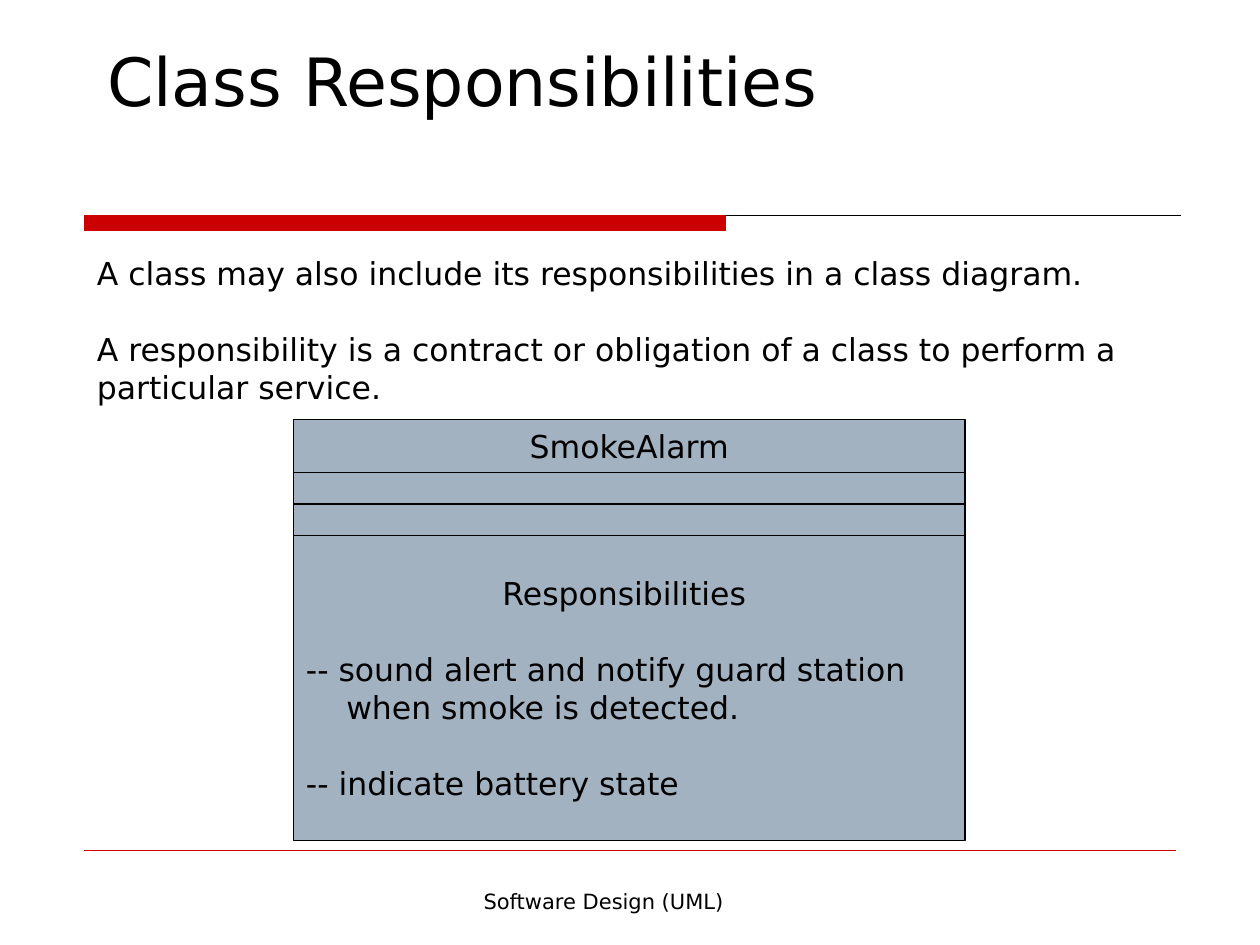
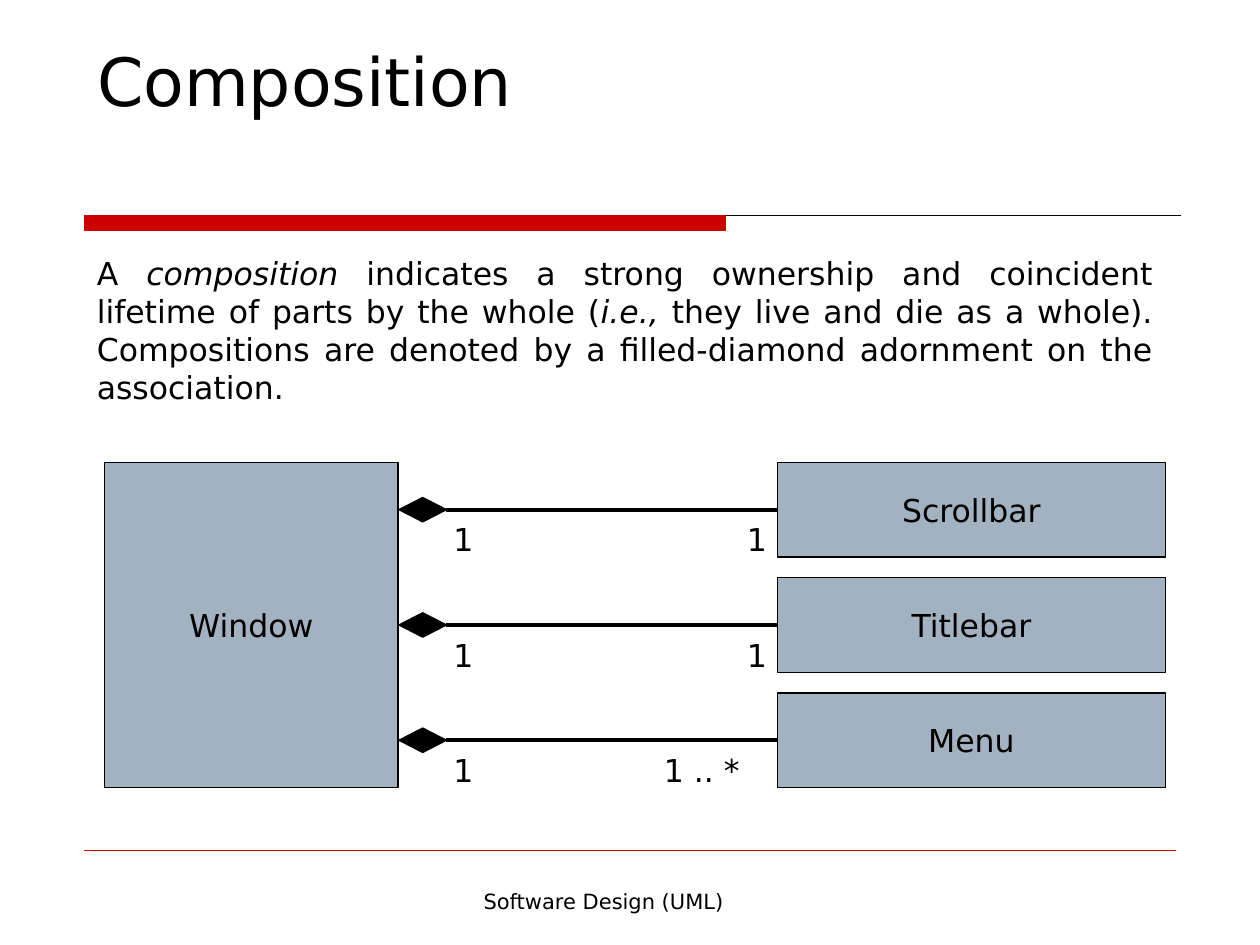
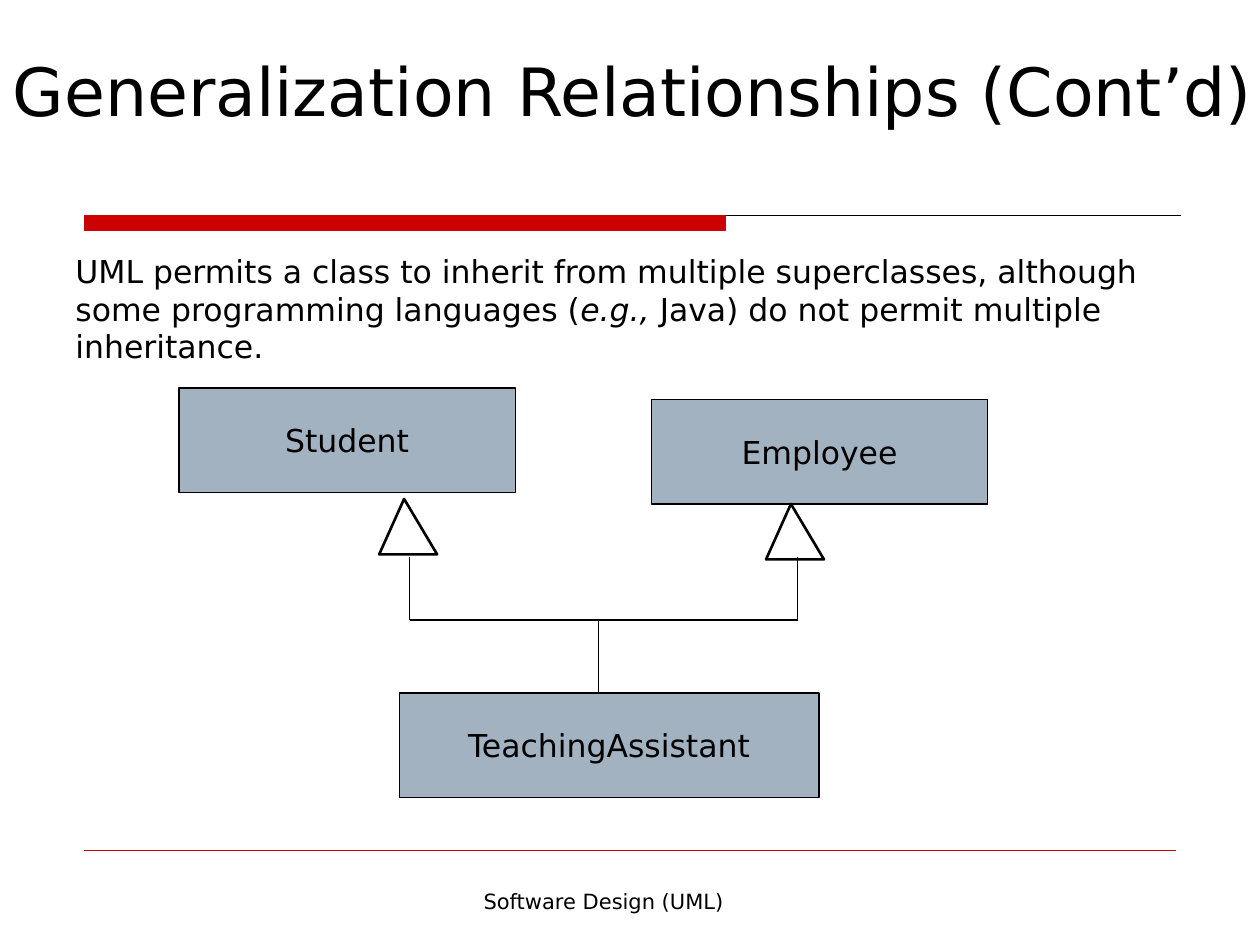
from dataclasses import dataclass

from pptx import Presentation
from pptx.dml.color import RGBColor
from pptx.enum.shapes import MSO_CONNECTOR, MSO_SHAPE
from pptx.enum.text import MSO_ANCHOR, MSO_AUTO_SIZE, PP_ALIGN
from pptx.oxml.ns import qn
from pptx.util import Inches, Pt

RECT, DIAMOND, TRIANGLE = MSO_SHAPE.RECTANGLE, MSO_SHAPE.DIAMOND, MSO_SHAPE.ISOSCELES_TRIANGLE
STRAIGHT = MSO_CONNECTOR.STRAIGHT
TOP, MIDDLE, BOTTOM = MSO_ANCHOR.TOP, MSO_ANCHOR.MIDDLE, MSO_ANCHOR.BOTTOM
LEFT, CENTER, JUSTIFY = PP_ALIGN.LEFT, PP_ALIGN.CENTER, PP_ALIGN.JUSTIFY
NO_FIT = MSO_AUTO_SIZE.NONE


@dataclass
class Theme:
    font: str = "DejaVu Sans"
    ink: RGBColor = RGBColor(0, 0, 0)
    red: RGBColor = RGBColor(0xCC, 0, 0)
    steel: RGBColor = RGBColor(0xA3, 0xB2, 0xC1)
    white: RGBColor = RGBColor(255, 255, 255)
    title: int = 38
    body: int = 18
    foot: int = 12
    gap: float = 21.7


theme = Theme()


def put(slide, at, text="", align=LEFT, size=theme.body, kind=None,
        fill=theme.steel, edge=theme.ink, width=0.75):
    """Add a text box, or a filled shape if kind is given; _marks_ set italics."""
    at = [Inches(n) for n in at]
    if kind is None:
        shape = slide.shapes.add_textbox(*at)
    else:
        shape = slide.shapes.add_shape(kind, *at)
        shape.shadow.inherit = False
        shape.fill.solid()
        shape.fill.fore_color.rgb = fill
        shape.line.color.rgb = edge
        shape.line.width = Pt(width)
    frame = shape.text_frame
    frame.word_wrap = True
    frame.vertical_anchor = TOP if kind is None else MIDDLE
    for i, line in enumerate(text.split("\n")):
        para = frame.add_paragraph() if i else frame.paragraphs[0]
        para.alignment = align
        if i:
            para.space_before = Pt(theme.gap)
        para.font.name = theme.font
        para.font.size = Pt(size)
        para.font.color.rgb = theme.ink
        for j, part in enumerate(line.split("_")):
            if part:
                run = para.add_run()
                run.text = part
                if j % 2:
                    run.font.italic = True
    return shape


def link(slide, x1, y1, x2, y2, color=theme.ink, width=1.0):
    """Add a straight line."""
    line = slide.shapes.add_connector(
        STRAIGHT, Inches(x1), Inches(y1), Inches(x2), Inches(y2))
    line.line.color.rgb = color
    line.line.width = Pt(width)
    props = line._element.spPr
    props.append(props.makeelement(qn("a:effectLst"), {}))
    return line


deck = Presentation()
deck.slide_width, deck.slide_height = Inches(10), Inches(7.5)

# Shared frame: bands, footer, title
heads = [
    ("Class Responsibilities", (0.75, 0.42, 8.58, 0.58)),
    ("Composition", (0.67, 0.42, 8.83, 0.58)),
    ("Generalization Relationships (Cont’d)", (0, 0.5, 10.17, 0.58)),
]
for head, at in heads:
    slide = deck.slides.add_slide(deck.slide_layouts[5])
    link(slide, 0.67, 1.71, 9.37, 1.71, width=0.75)
    put(slide, (0.67, 1.71, 5.09, 0.12), kind=RECT, fill=theme.red, edge=theme.red)
    link(slide, 0.67, 6.75, 9.33, 6.75, theme.red, 0.75)
    put(slide, (2.58, 7, 4.42, 0.5), "Software Design (UML)", CENTER, theme.foot)
    title = slide.shapes.title
    title.left, title.top, title.width, title.height = [Inches(n) for n in at]
    frame = title.text_frame
    frame.text = head
    frame.auto_size = NO_FIT
    frame.vertical_anchor = BOTTOM
    para = frame.paragraphs[0]
    para.alignment = LEFT
    para.font.name = theme.font
    para.font.size = Pt(theme.title)
    para.font.color.rgb = theme.ink

duty, whole, kinds = deck.slides

# Slide 1: class box with four parts
put(duty, (0.67, 1.97, 8.75, 1.7),
    "A class may also include its responsibilities in a class diagram.\n"
    "A responsibility is a contract or obligation of a class to perform a particular service.")
duties = ("Responsibilities\n"
          "-- sound alert and notify guard station when smoke is detected.\n"
          "-- indicate battery state")
top = 3.33
for high, text, align in [(0.42, "SmokeAlarm", CENTER), (0.25, "", CENTER),
                          (0.25, "", CENTER), (2.42, duties, LEFT)]:
    part = put(duty, (2.33, top, 5.33, high), text, align, kind=RECT)
    top += high
# Left margin and first-line indent of each paragraph in the last part
for para, (left, first) in zip(part.text_frame.paragraphs,
                               [(1.56, 0), (0.32, -0.32), (0.32, -0.32)]):
    props = para._p.get_or_add_pPr()
    props.set("marL", str(Inches(left)))
    props.set("indent", str(Inches(first)))

# Slide 2: a window and its parts
put(whole, (0.67, 1.97, 8.58, 1.31),
    "A _composition _indicates a strong ownership and coincident lifetime of parts by the "
    "whole (_i.e.,_ they live and die as a whole). Compositions are denoted by a "
    "filled-diamond adornment on the association.", JUSTIFY)
put(whole, (0.83, 3.67, 2.33, 2.58), "Window", CENTER, kind=RECT)
rows = [("Scrollbar", "1", 5.83, 0.33), ("Titlebar", "1", 5.83, 0.33),
        ("Menu", "1 .. *", 5.17, 1.17)]
for i, (name, count, left, wide) in enumerate(rows):
    top = 3.67 + 0.915 * i
    mid = top + 0.375
    part = put(whole, (6.17, top, 3.08, 0.75), name, CENTER, kind=RECT)
    gem = put(whole, (3.17, mid - 0.095, 0.37, 0.19), kind=DIAMOND, fill=theme.ink, width=1)
    line = link(whole, 3.54, mid, 6.17, mid, width=2.25)
    line.begin_connect(gem, 3)
    line.end_connect(part, 1)
    put(whole, (3.5, top + 0.41, 0.33, 0.4), "1")
    put(whole, (left, top + 0.41, wide, 0.4), count)

# Slide 3: two parents and one child
put(kinds, (0.5, 1.95, 8.92, 1.3),
    "UML permits a class to inherit from multiple superclasses, although some programming "
    "languages (_e.g.,_ Java) do not permit multiple inheritance.")
for name, left, top, wide in [("Student", 1.42, 3.08, 2.67), ("Employee", 5.17, 3.17, 2.67),
                              ("TeachingAssistant", 3.17, 5.5, 3.33)]:
    put(kinds, (left, top, wide, 0.83), name, CENTER, kind=RECT)
for left, top in [(3.01, 3.96), (6.08, 4)]:
    tip = put(kinds, (left, top, 0.46, 0.44), kind=TRIANGLE, fill=theme.white, width=1.5)
    tip.adjustments[0] = 0.43
for ends in [(3.25, 4.42, 3.25, 4.92), (3.25, 4.92, 6.33, 4.92),
             (6.33, 4.92, 6.33, 4.42), (4.75, 4.92, 4.75, 5.5)]:
    link(kinds, *ends)

deck.save("out.pptx")
